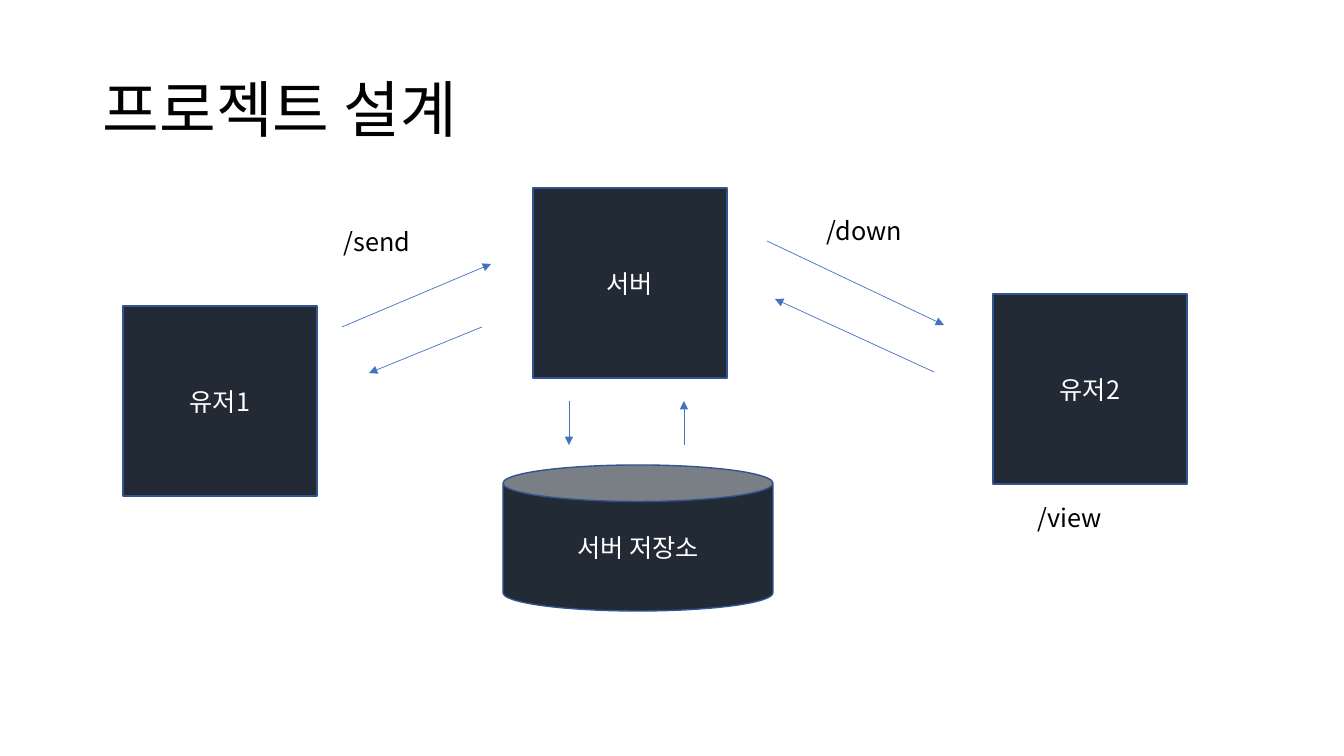
"""Build the project design slide: two users, a server and its storage."""
from dataclasses import dataclass

from lxml import etree
from pptx import Presentation
from pptx.dml.color import RGBColor
from pptx.enum.shapes import MSO_CONNECTOR, MSO_SHAPE
from pptx.enum.text import MSO_ANCHOR, PP_ALIGN
from pptx.oxml.ns import qn
from pptx.util import Pt

RECT, CAN = MSO_SHAPE.RECTANGLE, MSO_SHAPE.CAN
STRAIGHT = MSO_CONNECTOR.STRAIGHT
TOP, MIDDLE = MSO_ANCHOR.TOP, MSO_ANCHOR.MIDDLE
LEFT, CENTER = PP_ALIGN.LEFT, PP_ALIGN.CENTER


@dataclass(frozen=True)
class Theme:
    font: str = "Noto Sans CJK KR"
    title_size: Pt = Pt(44)
    body_size: Pt = Pt(18)
    ink: RGBColor = RGBColor(0, 0, 0)
    node_text: RGBColor = RGBColor(255, 255, 255)
    node_fill: RGBColor = RGBColor(0x22, 0x2A, 0x35)
    node_line: RGBColor = RGBColor(0x32, 0x54, 0x91)
    arrow: RGBColor = RGBColor(0x44, 0x72, 0xC4)


THEME = Theme()
SCALE = 12192000 / 1344


def px(*lengths):
    return [round(length * SCALE) for length in lengths]


def write(shape, text, size, color, align, anchor):
    frame = shape.text_frame
    frame.word_wrap = True
    frame.vertical_anchor = anchor
    paragraph = frame.paragraphs[0]
    paragraph.text = text
    paragraph.alignment = align
    font = paragraph.font
    font.name, font.size = THEME.font, size
    font.color.rgb = color
    properties = paragraph._p.pPr.find(qn("a:defRPr"))
    etree.SubElement(properties, qn("a:ea"), typeface=THEME.font)
    return paragraph


deck = Presentation()
deck.slide_width, deck.slide_height = px(1344, 756)
slide = deck.slides.add_slide(deck.slide_layouts[6])
shapes = slide.shapes

title = shapes.add_textbox(*px(93, 40, 1159, 146))
heading = write(title, "프로젝트 설계", THEME.title_size, THEME.ink, LEFT, MIDDLE)
heading.line_spacing = 0.9

SQUARE = (194, 190)
nodes = [
    ("유저1", RECT, (123, 306), SQUARE),
    ("유저2", RECT, (993, 294), SQUARE),
    ("서버", RECT, (533, 188), SQUARE),
    ("서버 저장소", CAN, (503, 465), (270, 146)),
]
for name, kind, corner, size in nodes:
    node = shapes.add_shape(kind, *px(*corner, *size))
    node.shadow.inherit = False
    node.fill.solid()
    node.fill.fore_color.rgb = THEME.node_fill
    node.line.color.rgb = THEME.node_line
    node.line.width = Pt(1)
    write(node, name, THEME.body_size, THEME.node_text, CENTER, MIDDLE)

flows = [
    (342, 327, 491, 264),
    (482, 327, 369, 373),
    (767, 241, 944, 325),
    (934, 372, 775, 299),
    (569, 401, 569, 445),
    (684, 445, 684, 401),
]
for ends in flows:
    flow = shapes.add_connector(STRAIGHT, *px(*ends))
    flow.line.color.rgb = THEME.arrow
    flow.line.width = Pt(0.5)
    etree.SubElement(flow.line._get_or_add_ln(), qn("a:tailEnd"), type="triangle")
    etree.SubElement(flow._element.spPr, qn("a:effectLst"))

routes = [
    ("/send", 334, 221, 125),
    ("/down", 817, 210, 194),
    ("/view", 1028, 497, 258),
]
for route, left, top, width in routes:
    label = shapes.add_textbox(*px(left, top, width, 40))
    write(label, route, THEME.body_size, THEME.ink, LEFT, TOP)

deck.save("out.pptx")
